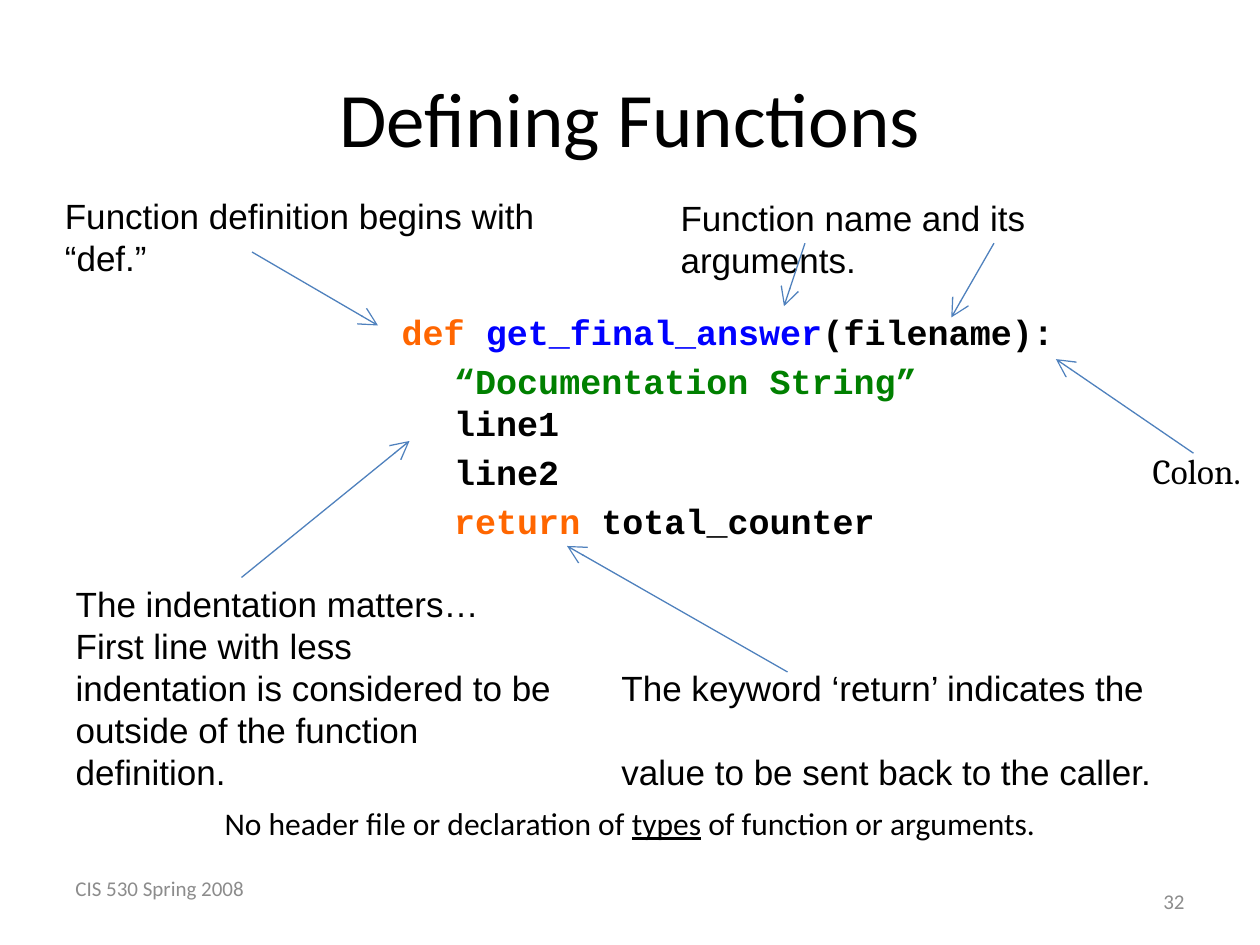
from lxml import etree
from pptx import Presentation
from pptx import util as u
from pptx.dml.color import RGBColor
from pptx.enum import shapes, text
from pptx.oxml import ns

BLACK, GRAY, BLUE = "000000", "8C8C8C", "4F81BD"
ORANGE, NAME_BLUE, GREEN = "FF6600", "0000FF", "008000"
LEFT, CENTER, RIGHT = text.PP_ALIGN.LEFT, text.PP_ALIGN.CENTER, text.PP_ALIGN.RIGHT


def color(value):
    return RGBColor.from_string(value)


def add_text(paragraph, words, font="Arial", size=20, fill=BLACK, bold=False, underline=False):
    """Add formatted text; each newline becomes a line break."""
    for index, line in enumerate(words.split("\n")):
        if index:
            paragraph.add_line_break()
        if not line:
            continue
        run = paragraph.add_run()
        run.text = line
        run.font.name = font
        run.font.size = u.Pt(size)
        run.font.color.rgb = color(fill)
        run.font.bold = bold
        run.font.underline = underline


class SlideBuilder:
    def __init__(self, slide):
        self.slide = slide

    def title(self, words, left, top, width, height):
        shape = self.slide.shapes.title
        shape.left, shape.top = u.Pt(left), u.Pt(top)
        shape.width, shape.height = u.Pt(width), u.Pt(height)
        shape.text_frame.vertical_anchor = text.MSO_ANCHOR.MIDDLE
        paragraph = shape.text_frame.paragraphs[0]
        paragraph.alignment = CENTER
        add_text(paragraph, words, font="Calibri", size=44)

    def text_box(self, paragraphs, left, top, width, height, align=LEFT, line=None,
                 before=0, after=0, indents=None, middle=False, **style):
        """Each paragraph is a list of (words, format changes) runs."""
        shape = self.slide.shapes.add_textbox(u.Pt(left), u.Pt(top), u.Pt(width), u.Pt(height))
        frame = shape.text_frame
        frame.word_wrap = True
        if middle:
            frame.vertical_anchor = text.MSO_ANCHOR.MIDDLE
        for index, runs in enumerate(paragraphs):
            paragraph = frame.paragraphs[0] if index == 0 else frame.add_paragraph()
            paragraph.alignment = align
            paragraph.space_before = u.Pt(before)
            paragraph.space_after = u.Pt(after)
            if line:
                paragraph.line_spacing = u.Pt(line)
            if indents:
                properties = paragraph._p.get_or_add_pPr()
                properties.set("marL", str(u.Pt(indents[index])))
                properties.set("indent", "0")
            for words, changes in runs:
                add_text(paragraph, words, **{**style, **changes})

    def note(self, paragraphs, left, top, width, height, **style):
        self.text_box([[(words, {})] for words in paragraphs], left, top, width, height,
                      line=24, **style)

    def arrow(self, start, end):
        points = [u.Pt(value) for value in (*start, *end)]
        connector = self.slide.shapes.add_connector(shapes.MSO_CONNECTOR.STRAIGHT, *points)
        connector.line.color.rgb = color(BLUE)
        connector.line.width = u.Pt(0.75)
        properties = connector._element.spPr
        etree.SubElement(properties.find(ns.qn("a:ln")), ns.qn("a:tailEnd"),
                         type="arrow", w="lg", len="lg")
        etree.SubElement(properties, ns.qn("a:effectLst"))


def main():
    presentation = Presentation()
    presentation.slide_width, presentation.slide_height = u.Pt(720), u.Pt(540)
    slide = presentation.slides.add_slide(presentation.slide_layouts[5])
    builder = SlideBuilder(slide)

    builder.title("Defining Functions", 36, 21.6, 648, 90)

    footer = {"font": "Calibri", "size": 12, "fill": GRAY, "middle": True}
    builder.text_box([[("CIS 530 Spring 2008", {})]], 36, 493, 168, 28.8, **footer)
    builder.text_box([[("32", {})]], 516, 500.4, 168, 28.8, align=RIGHT, **footer)

    builder.text_box(
        [[("No header file or declaration of ", {}), ("types", {"underline": True}),
          (" of function or arguments.", {})]],
        36, 455.8, 648, 30, align=CENTER, font="Calibri", size=18)

    keyword = {"fill": ORANGE}
    builder.text_box(
        [[("def ", keyword), ("get_final_answer", {"fill": NAME_BLUE}), ("(filename):", {})],
         [("“Documentation String”\n", {"fill": GREEN}), ("line1", {})],
         [("line2", {})],
         [("return", keyword), (" total_counter", {})]],
        150.5, 173.7, 510, 140, line=24, before=4, indents=[72, 102, 102, 102],
        font="Courier New", bold=True)

    builder.note(["Function definition begins with “def.”"], 30, 107.8, 331, 55)
    builder.note(["Function name and its arguments."], 381.8, 108.7, 314, 55)
    builder.note(["The indentation matters…",
                  "First line with less\nindentation is considered to be\n"
                  "outside of the function definition."], 36.2, 329.3, 299, 127)
    builder.note(["The keyword ‘return’ indicates the", "value to be sent back to the caller."],
                 348, 377.3, 325, 80, after=24)
    builder.note(["Colon."], 651.6, 253.4, 68.4, 31, font="Cambria")

    for start, end in [
        ((144, 144), (216, 186)),
        ((460, 139), (448, 175)),
        ((568, 139), (543.6, 181.4)),
        ((682, 259), (603.4, 205.2)),
        ((138, 330), (234, 252)),
        ((450, 384), (324, 312)),
    ]:
        builder.arrow(start, end)

    presentation.save("out.pptx")


if __name__ == "__main__":
    main()
